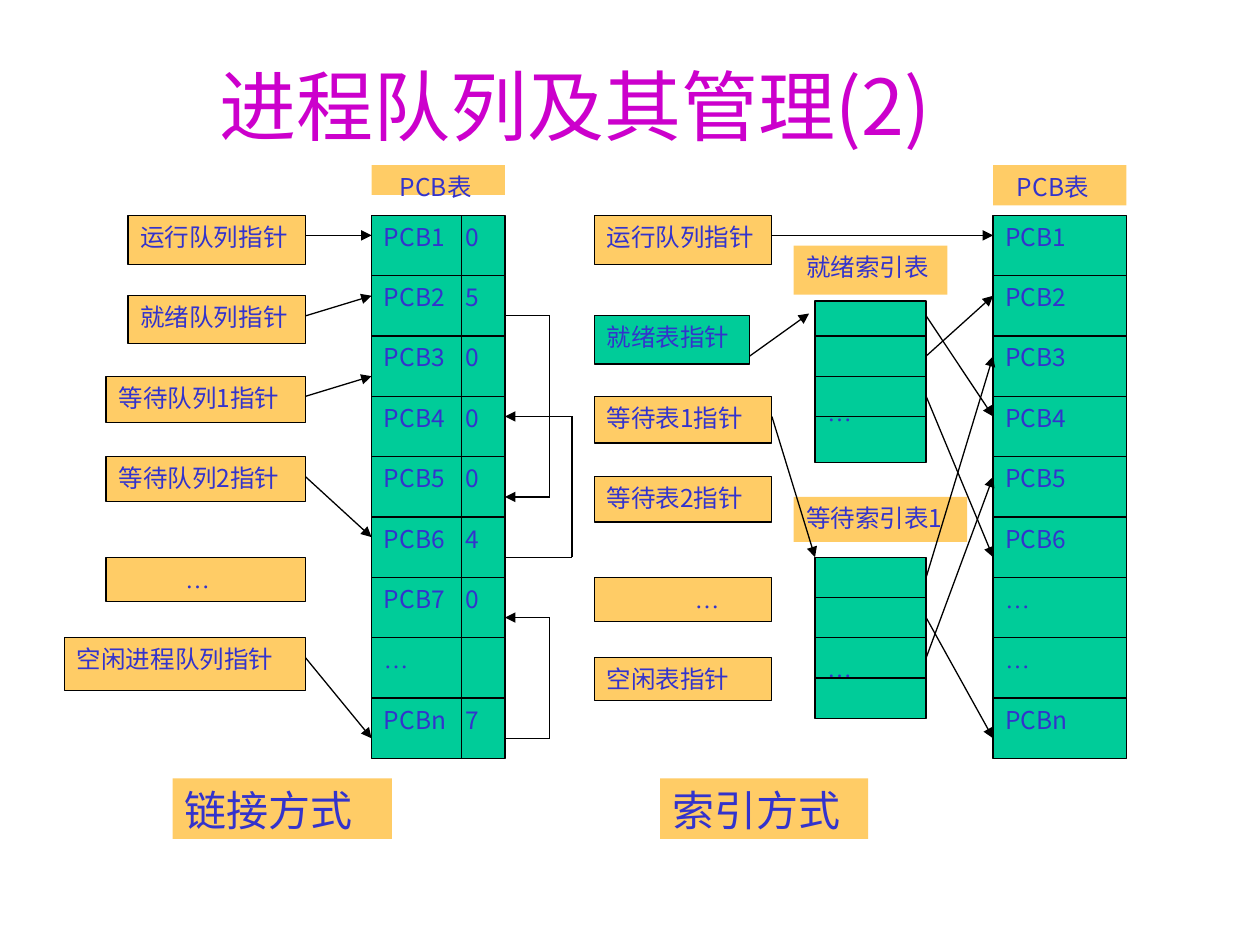
from lxml.etree import SubElement
from pptx import Presentation
from pptx.dml.color import RGBColor as Color
from pptx.enum.shapes import MSO_CONNECTOR as Connector, MSO_SHAPE as Shape
from pptx.enum.text import MSO_ANCHOR as Anchor, PP_ALIGN as Align
from pptx.oxml.ns import qn
from pptx.util import Cm, Pt

COLORS = {
    "title": "CC00CC",
    "text": "3333CC",
    "label": "FFCC66",
    "block": "00CC99",
    "line": "000000",
}
SANS = "Noto Sans CJK JP"
SERIF = "Times New Roman"
TOP = 4.34
STEP = 0.4055
PCB_STEPS = 3
PCB_WIDTH = 2.69
LINKED_LEFT = 7.49
LINKED_RIGHT = LINKED_LEFT + PCB_WIDTH
DIVIDER = 9.3
INDEXED_LEFT = 20.02
POINTER_RIGHT = 6.16
TABLE_POINTER_LEFT = 11.98
TABLE_POINTER_RIGHT = 15.56
INDEX_LEFT = 16.43
INDEX_RIGHT = 18.67


def level(steps):
    return TOP + STEP * steps


class QueueDiagram:
    def __init__(self, page):
        self.page = page
        self.margins = {"margin_left": 0.25, "margin_right": 0.25,
                        "margin_top": 0.13, "margin_bottom": 0.13}

    def add_text(self, para, text, size, color):
        span = para.add_run()
        span.text = text
        name = SERIF if text == "…" else SANS
        values = {"name": name, "size": Pt(size), "bold": False}
        for key, value in values.items():
            setattr(span.font, key, value)
        span.font.color.rgb = Color.from_string(COLORS[color])
        SubElement(span.font._element, qn("a:ea"), typeface=name)

    def title(self, text):
        box = self.page.shapes.title
        values = {"left": 0.51, "top": 0.53, "width": 21.59, "height": 3.18}
        for key, value in values.items():
            setattr(box, key, Cm(value))
        frame = box.text_frame
        frame.word_wrap = True
        frame.vertical_anchor = Anchor.MIDDLE
        frame.margin_left = Cm(0.82)
        para = frame.paragraphs[0]
        para.alignment = Align.CENTER
        self.add_text(para, text, 44, "title")

    def box(self, text, left, top, width, height, fill="label", border=True,
            size=14, indent=0, drop=0, tab=None):
        shape = self.page.shapes.add_shape(
            Shape.RECTANGLE, Cm(left), Cm(top), Cm(width), Cm(height))
        shape.shadow.inherit = False
        shape.fill.solid()
        shape.fill.fore_color.rgb = Color.from_string(COLORS[fill])
        if border:
            shape.line.color.rgb = Color.from_string(COLORS["line"])
            shape.line.width = Pt(0.75)
        else:
            shape.line.fill.background()
        frame = shape.text_frame
        frame.word_wrap = True
        frame.vertical_anchor = Anchor.TOP
        for key, value in self.margins.items():
            setattr(frame, key, Cm(value))
        frame.margin_left = Cm(self.margins["margin_left"] + indent)
        frame.margin_top = Cm(self.margins["margin_top"] + drop)
        para = frame.paragraphs[0]
        para.alignment = Align.JUSTIFY
        if tab:
            stops = SubElement(para._p.get_or_add_pPr(), qn("a:tabLst"))
            SubElement(stops, qn("a:tab"), pos=str(Cm(tab)), algn="l")
        self.add_text(para, text, size, "text")

    def line(self, start, end, arrow=False):
        (x1, y1), (x2, y2) = start, end
        link = self.page.shapes.add_connector(
            Connector.STRAIGHT, Cm(x1), Cm(y1), Cm(x2), Cm(y2))
        link.line.color.rgb = Color.from_string(COLORS["line"])
        link.line.width = Pt(0.75)
        if arrow:
            SubElement(link.line._get_or_add_ln(), qn("a:tailEnd"), type="triangle")
        SubElement(link._element.spPr, qn("a:effectLst"))

    def arrow(self, x1, step1, x2, step2):
        self.line((x1, level(step1)), (x2, level(step2)), arrow=True)

    def return_link(self, start, end, turn):
        corners = [(LINKED_RIGHT, level(start)), (turn, level(start)),
                   (turn, level(end)), (LINKED_RIGHT, level(end))]
        for index in range(3):
            self.line(corners[index], corners[index + 1], arrow=index == 2)

    def pcb_table(self, left, rows, divider=None):
        height = STEP * PCB_STEPS
        for index, text in enumerate(rows):
            top = level(index * PCB_STEPS)
            self.box(text, left, top, PCB_WIDTH, height, "block",
                     tab=1.65 if "\t" in text else None)
            if divider:
                self.line((divider, top), (divider, top + height))

    def index_table(self, top, row_steps):
        self.box("…", INDEX_LEFT, top, INDEX_RIGHT - INDEX_LEFT, 3.25,
                 "block", drop=1.81)
        for step in row_steps:
            self.line((INDEX_LEFT, level(step)), (INDEX_RIGHT, level(step)))


def main():
    deck = Presentation()
    deck.slide_width, deck.slide_height = Cm(25.4), Cm(19.05)
    page = deck.slides.add_slide(deck.slide_layouts[5])
    diagram = QueueDiagram(page)
    diagram.title("进程队列及其管理(2)")

    diagram.box("PCB表", LINKED_LEFT, 3.33, PCB_WIDTH, 0.6, border=False, indent=0.32)
    diagram.pcb_table(LINKED_LEFT, [
        "PCB1\t0", "PCB2\t5", "PCB3\t0", "PCB4\t0", "PCB5\t0",
        "PCB6\t4", "PCB7\t0", "…", "PCBn\t7"], DIVIDER)
    queue_pointers = [
        ("运行队列指针", 2.58, 0, 0.99, 0),
        ("就绪队列指针", 2.58, 4, 0.97, 0),
        ("等待队列1指针", 2.14, 8, 0.94, 0),
        ("等待队列2指针", 2.14, 12, 0.91, 0),
        ("…", 2.14, 17, 0.89, 1.35),
        ("空闲进程队列指针", 1.3, 21, 1.07, 0),
    ]
    for text, left, step, height, indent in queue_pointers:
        diagram.box(text, left, level(step), POINTER_RIGHT - left, height, indent=indent)
    for start, end in [(1, 1), (5, 4), (9, 8), (13, 16), (22, 26)]:
        diagram.arrow(POINTER_RIGHT, start, LINKED_LEFT, end)
    for start, end, turn in [(5, 14, 11.08), (17, 10, 11.53), (26, 20, 11.08)]:
        diagram.return_link(start, end, turn)

    table_pointers = [
        ("运行队列指针", 0, 3.58, 0.99, "label", 0),
        ("就绪表指针", 5, 3.13, 0.97, "block", 0),
        ("等待表1指针", 9, 3.58, 0.94, "label", 0),
        ("等待表2指针", 13, 3.58, 0.91, "label", 0),
        ("…", 18, 3.58, 0.89, "label", 1.78),
        ("空闲表指针", 22, 3.58, 0.86, "label", 0),
    ]
    for text, step, width, height, fill, indent in table_pointers:
        diagram.box(text, TABLE_POINTER_LEFT, level(step), width, height, fill,
                    indent=indent)
    diagram.box("PCB表", INDEXED_LEFT, 3.33, PCB_WIDTH, 0.81, border=False, indent=0.23)
    diagram.pcb_table(INDEXED_LEFT, [
        "PCB1", "PCB2", "PCB3", "PCB4", "PCB5", "PCB6", "…", "…", "PCBn"])
    diagram.index_table(6.07, [6, 8, 10])
    diagram.box("就绪索引表", 16, 4.95, 3.1, 0.99, border=False)
    diagram.index_table(level(17), [19, 21, 23])
    diagram.box("等待索引表1", 16, level(14), 3.5, 0.91, border=False)
    diagram.line((15.11, 7.18), (16.31, 6.32), arrow=True)
    diagram.arrow(TABLE_POINTER_RIGHT, 10, INDEX_LEFT, 17)
    diagram.arrow(TABLE_POINTER_RIGHT, 1, INDEXED_LEFT, 1)
    for start, end in [(5, 10), (18, 7), (7, 4), (22, 13), (20, 26), (9, 17)]:
        diagram.arrow(INDEX_RIGHT, start, INDEXED_LEFT, end)

    for text, left, width in [("链接方式", 3.48, 4.42), ("索引方式", 13.31, 4.19)]:
        diagram.box(text, left, level(28), width, 1.22, border=False, size=24)
    deck.save("out.pptx")


if __name__ == "__main__":
    main()
